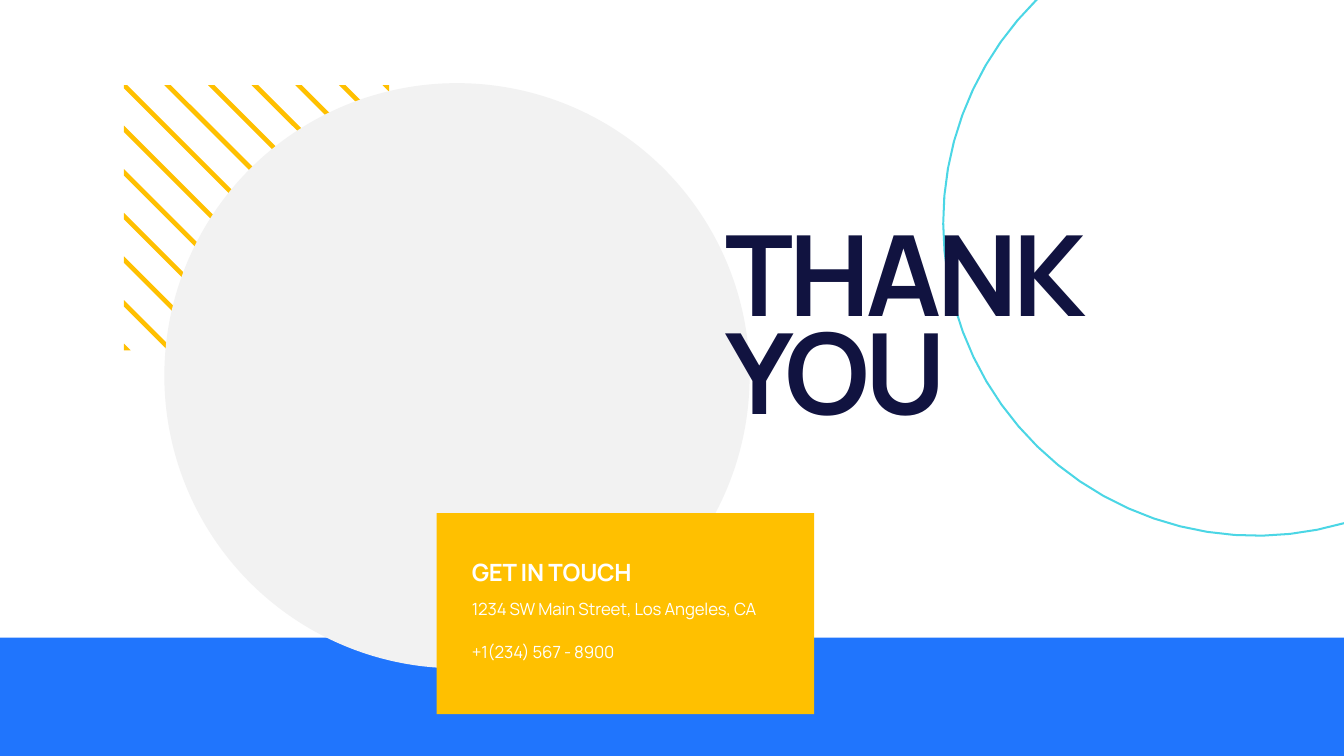
from math import asin, acos, cos, pi, sin

from pptx import Presentation
from pptx.dml.color import RGBColor
from pptx.enum.shapes import MSO_SHAPE
from pptx.enum.text import MSO_ANCHOR, MSO_AUTO_SIZE, PP_ALIGN
from pptx.util import Inches, Pt

RECTANGLE, OVAL = MSO_SHAPE.RECTANGLE, MSO_SHAPE.OVAL
TOP, MIDDLE, BOTTOM = MSO_ANCHOR.TOP, MSO_ANCHOR.MIDDLE, MSO_ANCHOR.BOTTOM
NO_AUTOFIT, LEFT = MSO_AUTO_SIZE.NONE, PP_ALIGN.LEFT
WIDTH, HEIGHT = 26.66, 15
TITLE_ONLY = 5
FONT = "Manrope"
COLORS = {
    "yellow": "FFC000",
    "blue": "2075FD",
    "grey": "F2F2F2",
    "cyan": "4BD6E5",
    "navy": "111340",
    "white": "FFFFFF",
}


def paint(shape, color):
    """Give a shape a flat fill without line or shadow."""
    shape.shadow.inherit = False
    shape.fill.solid()
    shape.fill.fore_color.rgb = RGBColor.from_string(COLORS[color])
    shape.line.fill.background()


def add_block(slide, preset, box, color):
    """Add a flat preset shape in the given box."""
    paint(slide.shapes.add_shape(preset, *map(Inches, box)), color)


def add_outline(slide, contours, color):
    """Add one filled freeform made of closed contours given in inches."""
    contours = [[(Inches(x), Inches(y)) for x, y in contour] for contour in contours]
    builder = slide.shapes.build_freeform(*contours[0][0])
    for index, contour in enumerate(contours):
        if index:
            builder.move_to(*contour[0])
        builder.add_line_segments(contour[1:], close=True)
    paint(builder.convert_to_shape(), color)


def add_stripes(slide, left, top, side, count=6, half=0.065):
    """Add diagonal stripes clipped to a square."""
    pitch = (side - half) / count

    def start(offset):
        """Return where a diagonal enters the square."""
        return left + max(offset, 0), top + max(-offset, 0)

    def end(offset):
        """Return where a diagonal leaves the square."""
        return left + side + min(offset, 0), top + side - max(offset, 0)

    contours = []
    for step in range(-count, count + 1):
        low, high = step * pitch - half, step * pitch + half
        first_corner = [start(0)] if step == 0 else []
        last_corner = [end(0)] if step == 0 else []
        contours.append([start(low), *first_corner, start(high),
                         end(high), *last_corner, end(low)])
    add_outline(slide, contours, "yellow")


def add_ring(slide, center_x, center_y, radius, thickness=0.04, steps=30):
    """Add the part of a thin ring that lies within the slide."""
    def arc(size):
        """Return points from the top edge round to the right edge."""
        first = pi + asin(center_y / size)
        last = acos((WIDTH - center_x) / size)
        angles = [first + (last - first) * step / steps for step in range(steps + 1)]
        return [(center_x + size * cos(angle), center_y + size * sin(angle))
                for angle in angles]

    add_outline(slide, [arc(radius) + arc(radius - thickness)[::-1]], "cyan")


def write(shape, text, size, color, spacing, bold=False, anchor=TOP, leading=None):
    """Set and format the text of a box."""
    frame = shape.text_frame
    frame.text = text
    frame.word_wrap = True
    frame.auto_size = NO_AUTOFIT
    frame.vertical_anchor = anchor
    paragraph = frame.paragraphs[0]
    paragraph.alignment = LEFT
    if leading:
        paragraph.line_spacing = Pt(leading)
    run = paragraph.runs[0]
    run.font.name = FONT
    run.font.size = Pt(size)
    run.font.bold = bold
    run.font.color.rgb = RGBColor.from_string(COLORS[color])
    run._r.get_or_add_rPr().set("spc", str(round(spacing * 100)))


def add_contact_card(slide, left, top, width, height):
    """Add the contact card with its heading and details."""
    add_block(slide, RECTANGLE, (left, top, width, height), "yellow")

    def add_text(offset, line_height, *args, **options):
        """Add one line of the card."""
        box = (left + 0.6, top + offset, width * 0.83, line_height)
        write(slide.shapes.add_textbox(*map(Inches, box)), *args, **options)

    add_text(0.84, 0.67, "GET IN TOUCH", 34, "white", -0.3, bold=True, anchor=BOTTOM)
    details = ["1234 SW Main Street, Los Angeles, CA", "+1(234) 567 - 8900"]
    for row, detail in enumerate(details):
        add_text(1.54 + row * 0.87, 0.58, detail, 24, "white", -0.2, leading=36)


def place_title(slide, left, top, width, height):
    """Place the title placeholder in front of the decoration."""
    title = slide.shapes.title
    title.left, title.top = Inches(left), Inches(top)
    title.width, title.height = Inches(width), Inches(height)
    write(title, "THANK YOU", 160, "navy", -6, bold=True, anchor=MIDDLE, leading=140)
    slide.shapes._spTree.append(title._element)


def main():
    """Build the closing slide."""
    presentation = Presentation()
    presentation.slide_width = Inches(WIDTH)
    presentation.slide_height = Inches(HEIGHT)
    slide = presentation.slides.add_slide(presentation.slide_layouts[TITLE_ONLY])
    band_top = 12.65
    add_stripes(slide, 2.46, 1.69, 5.26)
    add_block(slide, RECTANGLE, (0, band_top, WIDTH, HEIGHT - band_top), "blue")
    add_block(slide, OVAL, (3.26, 1.65, 11.61, 11.61), "grey")
    add_ring(slide, 24.92, 4.42, 6.23)
    add_contact_card(slide, 8.66, 10.18, 7.49, 3.99)
    place_title(slide, 14.3, 4.61, 8.04, 4.21)
    presentation.save("out.pptx")


if __name__ == "__main__":
    main()
